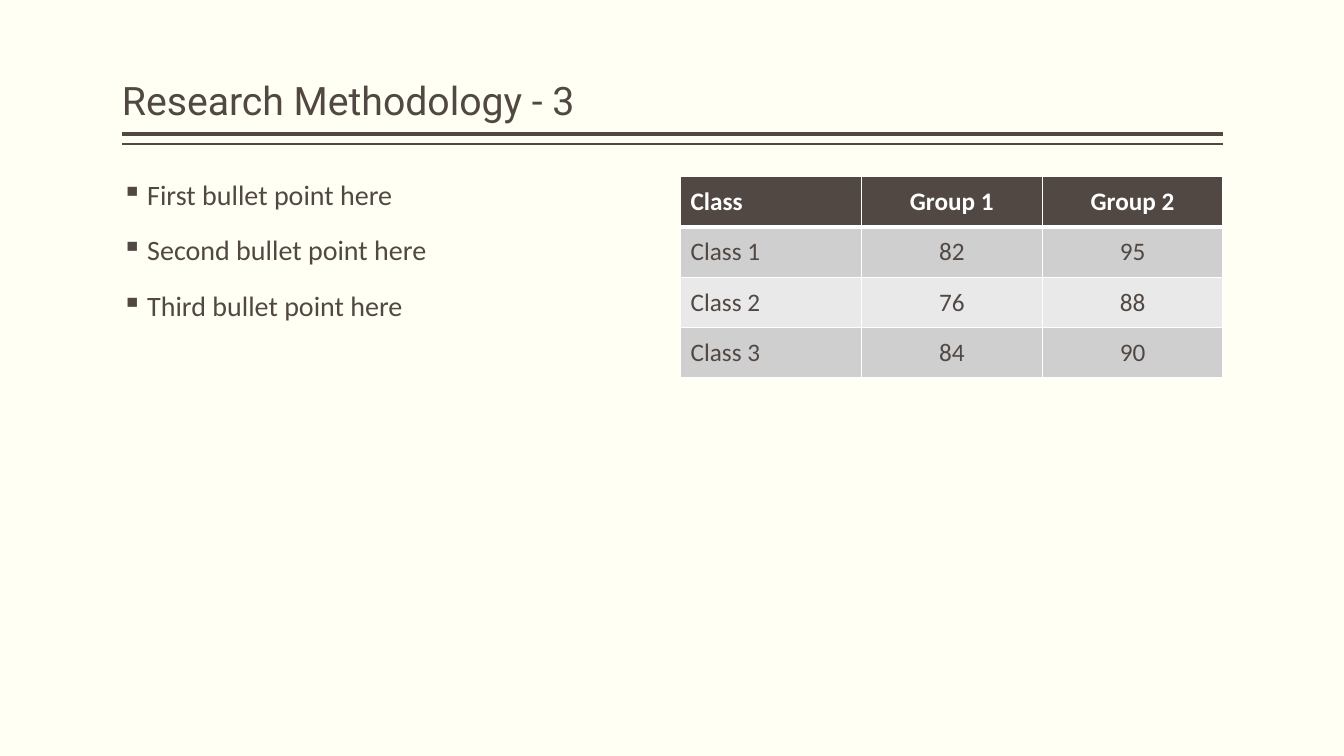
from pptx import Presentation
from pptx import util as u
from pptx.dml.color import RGBColor
from pptx.enum import shapes, text
from pptx.oxml.ns import qn
from lxml import etree

COLORS = {
    "background": "FFFFF3",
    "brown": "514843",
    "white": "FFFFFF",
    "band_dark": "D0CFCF",
    "band_light": "E9E9E9",
}
LEFT, RIGHT = 1.21, 12.13
BULLETS = ["First bullet point here", "Second bullet point here", "Third bullet point here"]
ROWS = [
    ["Class", "Group 1", "Group 2"],
    ["Class 1", "82", "95"],
    ["Class 2", "76", "88"],
    ["Class 3", "84", "90"],
]


def color(name):
    return RGBColor.from_string(COLORS[name])


def style_font(paragraph, size, color_name, name="Calibri", bold=False):
    font = paragraph.font
    font.name, font.size, font.bold = name, u.Pt(size), bold
    font.color.rgb = color(color_name)


def add_rule(slide, top, width):
    line = slide.shapes.add_connector(
        shapes.MSO_CONNECTOR.STRAIGHT,
        u.Inches(RIGHT), u.Inches(top), u.Inches(LEFT), u.Inches(top))
    line.line.color.rgb = color("brown")
    line.line.width = u.Pt(width)
    etree.SubElement(line._element.spPr, qn("a:effectLst"))


def add_text_frame(slide, left, top, width, height, anchor):
    box = slide.shapes.add_textbox(*(u.Inches(n) for n in (left, top, width, height)))
    frame = box.text_frame
    frame.word_wrap = True
    frame.vertical_anchor = anchor
    frame.margin_left = frame.margin_right = 0
    return frame


def add_title(slide, title):
    frame = add_text_frame(slide, LEFT, 0.08, RIGHT - LEFT, 1.2, text.MSO_ANCHOR.BOTTOM)
    frame.text = title
    paragraph = frame.paragraphs[0]
    paragraph.line_spacing = 0.9
    style_font(paragraph, 28, "brown", "Roboto")


def add_bullets(slide, items):
    frame = add_text_frame(slide, LEFT, 1.75, 5.38, 5, text.MSO_ANCHOR.TOP)
    frame.text = "\n".join(items)
    for paragraph in frame.paragraphs:
        paragraph.line_spacing = 0.9
        paragraph.space_before = u.Pt(18)
        properties = paragraph._p.get_or_add_pPr()
        properties.set("marL", str(u.Inches(0.25)))
        properties.set("indent", str(-u.Inches(0.25)))
        etree.SubElement(properties, qn("a:buChar"), char="▪")
        style_font(paragraph, 20, "brown")


def set_borders(cell, top, bottom):
    properties = cell._tc.get_or_add_tcPr()
    for side, width in (("L", 1), ("R", 1), ("T", top), ("B", bottom)):
        line = etree.SubElement(properties, qn(f"a:ln{side}"), w=str(u.Pt(width)))
        fill = etree.SubElement(line, qn("a:solidFill"))
        etree.SubElement(fill, qn("a:srgbClr"), val=COLORS["white"])


def add_score_table(slide, rows):
    table = slide.shapes.add_table(
        len(rows), len(rows[0]), u.Inches(6.75), u.Inches(1.75),
        u.Inches(5.38), u.Inches(0.5 * len(rows))).table
    for row, values in enumerate(rows):
        header = row == 0
        band = "brown" if header else "band_dark" if row % 2 else "band_light"
        for column, value in enumerate(values):
            cell = table.cell(row, column)
            cell.text = value
            cell.vertical_anchor = text.MSO_ANCHOR.MIDDLE
            # The edge under the header is thicker
            set_borders(cell, top=3 if row == 1 else 1, bottom=3 if header else 1)
            cell.fill.solid()
            cell.fill.fore_color.rgb = color(band)
            paragraph = cell.text_frame.paragraphs[0]
            if column:
                paragraph.alignment = text.PP_ALIGN.CENTER
            style_font(paragraph, 18, "white" if header else "brown", bold=header)


def main():
    presentation = Presentation()
    presentation.slide_width = u.Inches(13.33)
    presentation.slide_height = u.Inches(7.5)
    slide = presentation.slides.add_slide(presentation.slide_layouts[6])
    slide.background.fill.solid()
    slide.background.fill.fore_color.rgb = color("background")

    # Title with double rule
    add_rule(slide, 1.33, 3)
    add_rule(slide, 1.43, 1)
    add_title(slide, "Research Methodology - 3")

    # Content columns
    add_bullets(slide, BULLETS)
    add_score_table(slide, ROWS)

    presentation.save("out.pptx")


if __name__ == "__main__":
    main()
